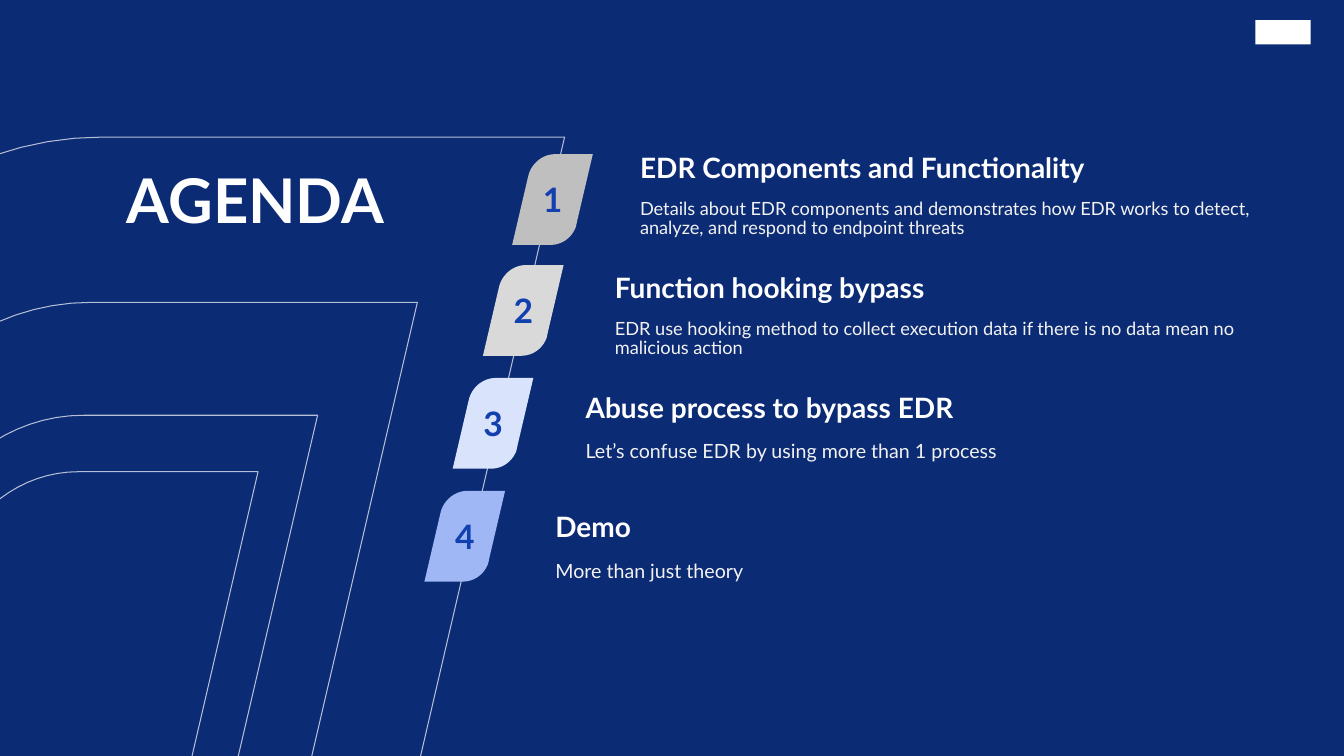
from lxml import etree
from pptx import Presentation
from pptx import util as u
from pptx.dml import color
from pptx.enum import shapes, text
from pptx.oxml import ns

HUES = {"navy": "0C2B75", "white": "FFFFFF", "pale": "F2F2F2", "blue": "1240AF"}

EDGE = [
    [(1, 0)],
    [(0.535, 0)],
    [(0.385, 0), (0.257, 0.09), (0.208, 0.214)],
    [(0.198, 0.248)],
    [(0, 1)],
    [(0.477, 1)],
    [(0.62, 1), (0.742, 0.918), (0.79, 0.802)],
    [(0.808, 0.73)],
]
STEPS = 16

ARCS = [
    (-1.84, 4.12, 4.99, 5.64),
    (-1.27, 4.68, 3.83, 4.34),
    (-2.82, 3, 6.96, 7.87),
    (-4.26, 1.36, 9.86, 11.15),
]

ITEMS = [
    (5.08, 1.53, "BFBFBF", 6.25, "EDR Components and Functionality",
     "Details about EDR components and demonstrates how EDR works to detect, "
     "analyze, and respond to endpoint threats", 13, 0.9),
    (4.79, 2.63, "D9D9D9", 6, "Function hooking bypass",
     "EDR use hooking method to collect execution data if there is no data "
     "mean no malicious action", 13, 0.9),
    (4.49, 3.75, "D9E3FB", 5.71, "Abuse process to bypass EDR",
     "Let’s confuse EDR by using more than 1 process", 14, 1),
    (4.21, 4.87, "9FB8F5", 5.41, "Demo", "More than just theory", 14, 1),
]
TOP, PITCH = 1.44, 1.19


def rgb(code):
    return color.RGBColor.from_string(code)


def trace():
    spots = [EDGE[0][0]]
    for part in EDGE[1:]:
        if len(part) == 1:
            spots.append(part[0])
            continue
        a, (b, c, d) = spots[-1], part
        for n in range(1, STEPS + 1):
            t = n / STEPS
            s = 1 - t
            spots.append(tuple(
                s**3 * a[k] + 3 * s * s * t * b[k] + 3 * s * t * t * c[k] + t**3 * d[k]
                for k in (0, 1)))
    return spots


class Deck:
    """Draws styled elements on one slide."""

    def __init__(self):
        self.prs = Presentation()
        self.prs.slide_width = u.Inches(13.33)
        self.prs.slide_height = u.Inches(7.5)
        self.slide = self.prs.slides.add_slide(self.prs.slide_layouts[6])
        self.font = "Lato"
        self.leaf = trace()

    def style(self, para, words, size, hue, bold=False, gap=1):
        para.text = words
        para.line_spacing = gap
        para.font.name = self.font
        para.font.size = u.Pt(size)
        para.font.bold = bold
        para.font.color.rgb = rgb(HUES[hue])

    def label(self, x, y, w, h, words, size, hue, bold=False, gap=1):
        box = self.slide.shapes.add_textbox(*map(u.Inches, (x, y, w, h)))
        box.text_frame.word_wrap = True
        self.style(box.text_frame.paragraphs[0], words, size, hue, bold, gap)

    def paint(self, form, fill):
        form.shadow.inherit = False
        form.fill.solid()
        form.fill.fore_color.rgb = rgb(fill)
        form.line.fill.background()

    def block(self, x, y, w, h, hue):
        kind = shapes.MSO_SHAPE.RECTANGLE
        form = self.slide.shapes.add_shape(kind, *map(u.Inches, (x, y, w, h)))
        self.paint(form, HUES[hue])

    def shape(self, x, y, w, h):
        spots = [(u.Inches(x + w * a), u.Inches(y + h * b)) for a, b in self.leaf]
        form = self.slide.shapes.build_freeform(*spots[0])
        form.add_line_segments(spots[1:], close=True)
        return form.convert_to_shape()

    def arc(self, x, y, w, h):
        leaf = self.shape(x, y, w, h)
        leaf.shadow.inherit = False
        leaf.fill.background()
        leaf.line.color.rgb = rgb(HUES["white"])
        leaf.line.width = u.Pt(0.75)
        tint = leaf.line._ln.find(".//" + ns.qn("a:srgbClr"))
        etree.SubElement(tint, ns.qn("a:alpha"), val="70000")

    def badge(self, x, y, fill, words):
        leaf = self.shape(x, y, 0.8, 0.9)
        self.paint(leaf, fill)
        frame = leaf.text_frame
        frame.vertical_anchor = text.MSO_ANCHOR.MIDDLE
        para = frame.paragraphs[0]
        self.style(para, words, 24, "blue", True)
        para.alignment = text.PP_ALIGN.CENTER


def main():
    deck = Deck()
    deck.block(0, 0, 13.33, 7.5, "navy")
    for arc in ARCS:
        deck.arc(*arc)
    deck.block(12.45, 0.2, 0.55, 0.24, "white")
    deck.label(1.16, 1.64, 3.9, 1.02, "AGENDA", 44, "white", True, 0.9)
    for n, (bx, by, fill, x, head, note, size, gap) in enumerate(ITEMS):
        y = TOP + n * PITCH
        deck.label(x, y, 6.44, 0.48, head, 20, "white", True)
        deck.label(x, y + 0.49, 6.44, 0.51, note, size, "pale", gap=gap)
        deck.badge(bx, by, fill, str(n + 1))
    deck.prs.save("out.pptx")


if __name__ == "__main__":
    main()
